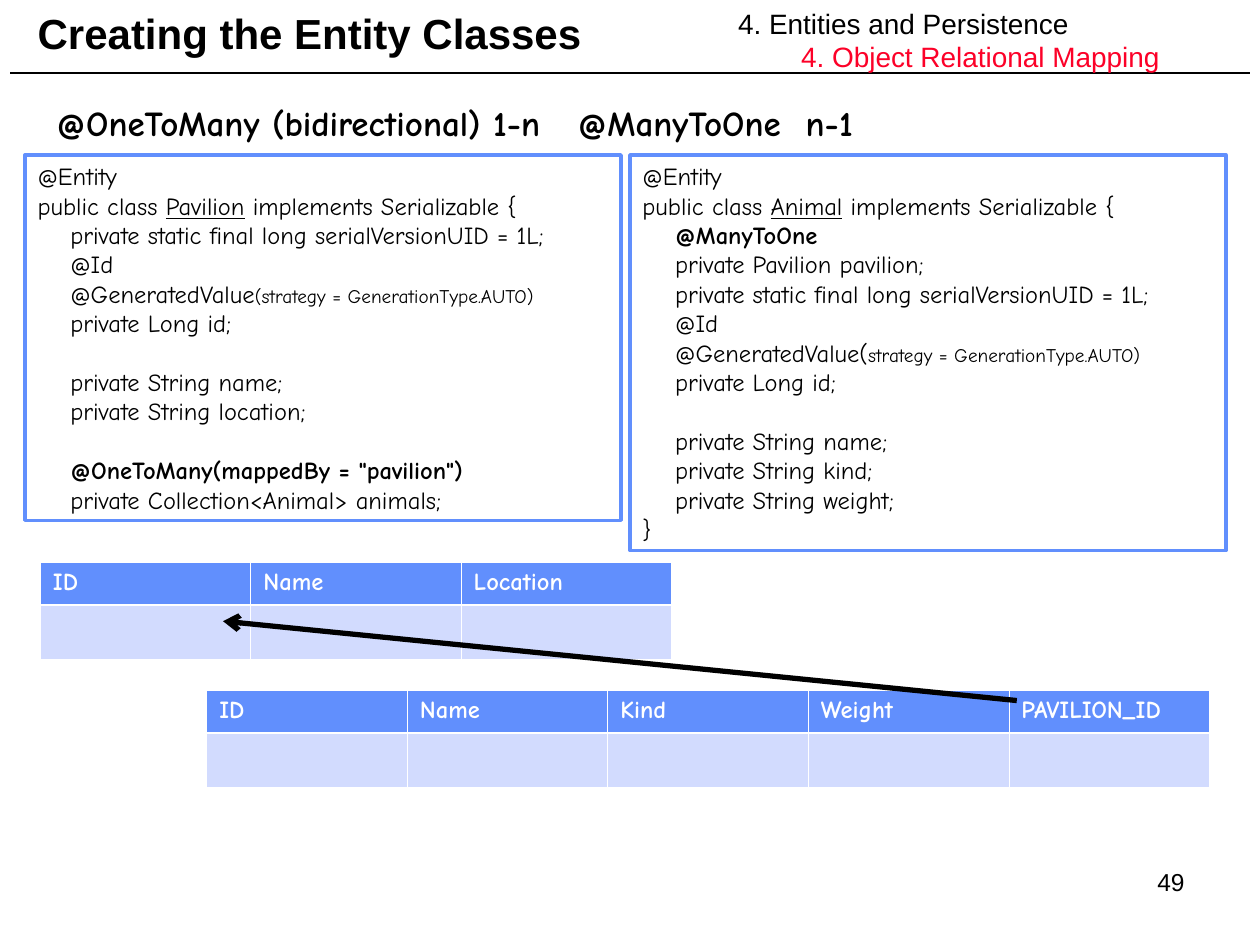
from lxml import etree
from pptx import Presentation
from pptx import util as u
from pptx.dml.color import RGBColor
from pptx.enum import shapes, text
from pptx.oxml.ns import qn

BLACK, WHITE, RED = "000000", "FFFFFF", "FC0128"
BLUE, PALE = "618FFD", "D2DBFE"
SANS, COMIC = "Arial", "Comic Neue"
BLANK_LINE = 16.8
INDENT = "    "


def rgb(value):
    return RGBColor.from_string(value)


def add_run(p, content, size=14, font=COMIC, color=BLACK, bold=False, underline=False):
    r = p.add_run()
    r.text = content
    f = r.font
    f.size, f.name, f.bold = u.Pt(size), font, bold
    f.color.rgb = rgb(color)
    if underline:
        f.underline = True


def set_frame(tf, anchor=text.MSO_ANCHOR.TOP):
    tf.word_wrap = True
    tf.vertical_anchor = anchor


def add_label(s, box, content, align=text.PP_ALIGN.LEFT,
              anchor=text.MSO_ANCHOR.TOP, **fmt):
    tf = s.shapes.add_textbox(*map(u.Inches, box)).text_frame
    set_frame(tf, anchor)
    tf.paragraphs[0].alignment = align
    add_run(tf.paragraphs[0], content, **fmt)
    return tf


def add_line(s, start, end, width, arrow=False):
    ln = s.shapes.add_connector(shapes.MSO_CONNECTOR.STRAIGHT,
                                *map(u.Inches, start + end))
    ln.line.color.rgb = rgb(BLACK)
    ln.line.width = u.Pt(width)
    if arrow:
        etree.SubElement(ln.line._get_or_add_ln(), qn("a:tailEnd"), type="arrow")
    etree.SubElement(ln._element.spPr, qn("a:effectLst"))


def add_chapter(s, box, chapter, section):
    """Chapter and section, each with a hanging indent of half an inch."""
    tf = add_label(s, box, chapter, size=16, font=SANS)
    add_run(tf.add_paragraph(), section, size=16, font=SANS, color=RED)
    for level, p in enumerate(tf.paragraphs):
        p.level = level
        pPr = p._p.get_or_add_pPr()
        pPr.set("marL", str(u.Inches(0.5 * (level + 1))))
        pPr.set("indent", str(u.Inches(-0.5)))


def add_code(s, box, groups):
    """Groups of lines, one blank line apart; a line is text or a list of runs."""
    sp = s.shapes.add_shape(shapes.MSO_SHAPE.RECTANGLE, *map(u.Inches, box))
    sp.shadow.inherit = False
    sp.fill.background()
    sp.line.color.rgb = rgb(BLUE)
    sp.line.width = u.Pt(2)
    tf = sp.text_frame
    set_frame(tf)
    p = None
    for group in groups:
        for i, line in enumerate(group):
            first = p is None
            p = tf.paragraphs[0] if first else tf.add_paragraph()
            p.alignment = text.PP_ALIGN.LEFT
            if i == 0 and not first:
                p.space_before = u.Pt(BLANK_LINE)
            for content, fmt in [(line, {})] if isinstance(line, str) else line:
                add_run(p, content, **fmt)


def set_borders(cell, **widths):
    tcPr = cell._tc.get_or_add_tcPr()
    for i, side in enumerate(("lnL", "lnR", "lnT", "lnB")):
        ln = etree.Element(qn("a:" + side), w=str(u.Pt(widths.get(side, 0.45))))
        fill = etree.SubElement(ln, qn("a:solidFill"))
        etree.SubElement(fill, qn("a:srgbClr"), val=WHITE)
        tcPr.insert(i, ln)


def add_entity_table(s, box, names):
    left, top, width, header, body = box
    tbl = s.shapes.add_table(2, len(names), *map(u.Inches, (left, top, width, header + body))).table
    tbl.rows[0].height, tbl.rows[1].height = u.Inches(header), u.Inches(body)
    for i, name in enumerate(names):
        tbl.columns[i].width = u.Inches(width / len(names))
        head, empty = tbl.cell(0, i), tbl.cell(1, i)
        add_run(head.text_frame.paragraphs[0], name, color=WHITE, bold=True)
        for cell, color, thick in ((head, BLUE, "lnB"), (empty, PALE, "lnT")):
            cell.fill.solid()
            cell.fill.fore_color.rgb = rgb(color)
            set_borders(cell, **{thick: 1.47})


def class_opening(name):
    return ["@Entity",
            [("public class ", {}), (name, {"underline": True}),
             (" implements Serializable {", {})]]


def id_lines(annotation, arguments):
    return [INDENT + "private static final long serialVersionUID = 1L;",
            INDENT + "@Id",
            [(INDENT + annotation, {}), (arguments, {"size": 11})],
            INDENT + "private Long id;"]


def fields(*names):
    return [f"{INDENT}private String {name};" for name in names]


def bold_line(content):
    return [(INDENT, {}), (content, {"bold": True})]


def main():
    prs = Presentation()
    prs.slide_width, prs.slide_height = u.Inches(10), u.Inches(7.5)
    s = prs.slides.add_slide(prs.slide_layouts[6])

    add_line(s, (0.08, 0.58), (9.92, 0.58), 1)
    add_label(s, (7.17, 6.83, 2.33, 0.52), "49", align=text.PP_ALIGN.RIGHT, font=SANS)
    add_label(s, (0.2, 0, 5.88, 0.52), "Creating the Entity Classes",
              anchor=text.MSO_ANCHOR.MIDDLE, size=24, font=SANS, bold=True)
    add_chapter(s, (5.76, 0, 4.54, 0.64),
                "4. Entities and Persistence", "4. Object Relational Mapping")

    add_entity_table(s, (0.32, 4.46, 5.01, 0.34, 0.43), ["ID", "Name", "Location"])
    add_entity_table(s, (1.64, 5.48, 7.96, 0.34, 0.43),
                     ["ID", "Name", "Kind", "Weight", "PAVILION_ID"])

    add_label(s, (0.35, 0.76, 8.27, 0.44),
              "@OneToMany (bidirectional) 1-n   @ManyToOne  n-1", size=20, bold=True)
    add_code(s, (0.2, 1.23, 4.73, 2.9), [
        class_opening("Pavilion")
        + id_lines("@GeneratedValue", "(strategy = GenerationType.AUTO)"),
        fields("name", "location"),
        [bold_line('@OneToMany(mappedBy = "pavilion")'),
         INDENT + "private Collection<Animal> animals;"],
    ])
    add_code(s, (5, 1.23, 4.73, 3.14), [
        class_opening("Animal")
        + [bold_line("@ManyToOne"), INDENT + "private Pavilion pavilion;"]
        + id_lines("@GeneratedValue(", "strategy = GenerationType.AUTO)"),
        fields("name", "kind", "weight") + ["}"],
    ])
    add_line(s, (8.07, 5.56), (1.77, 4.93), 3, arrow=True)

    prs.save("out.pptx")


if __name__ == "__main__":
    main()
